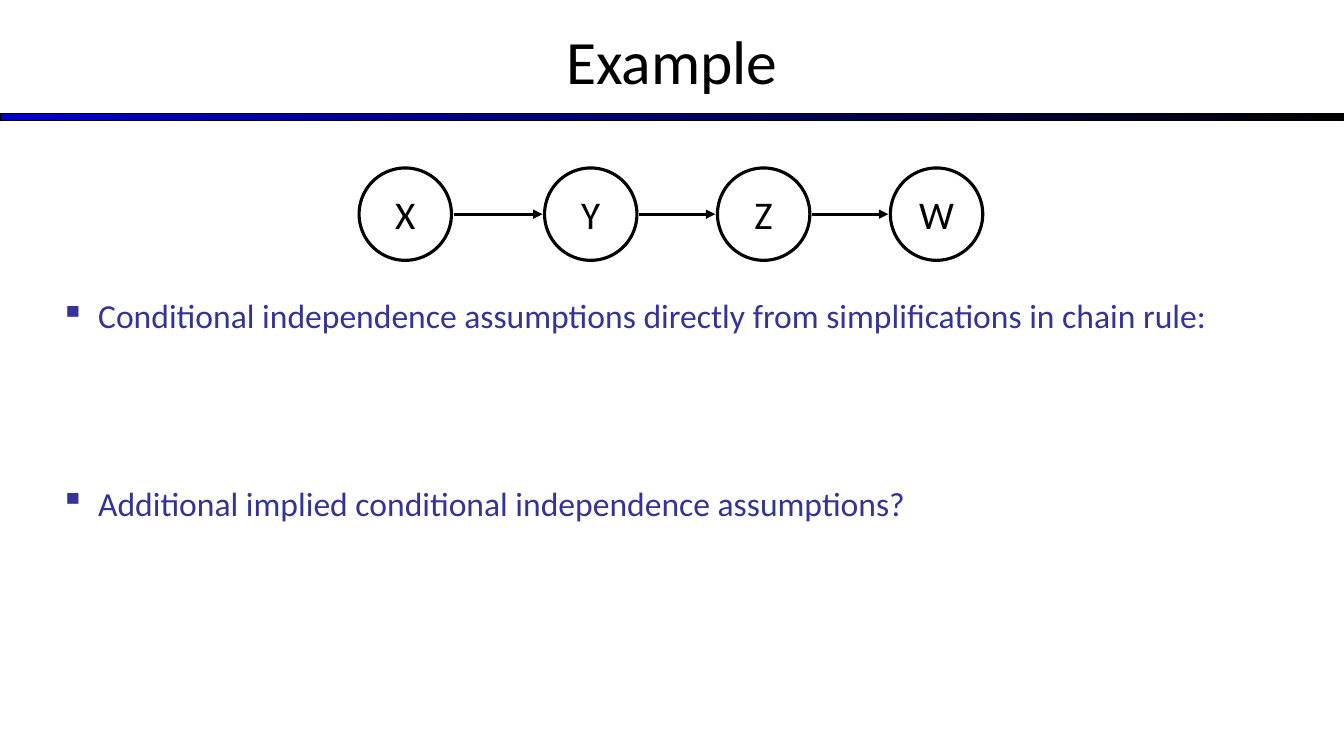
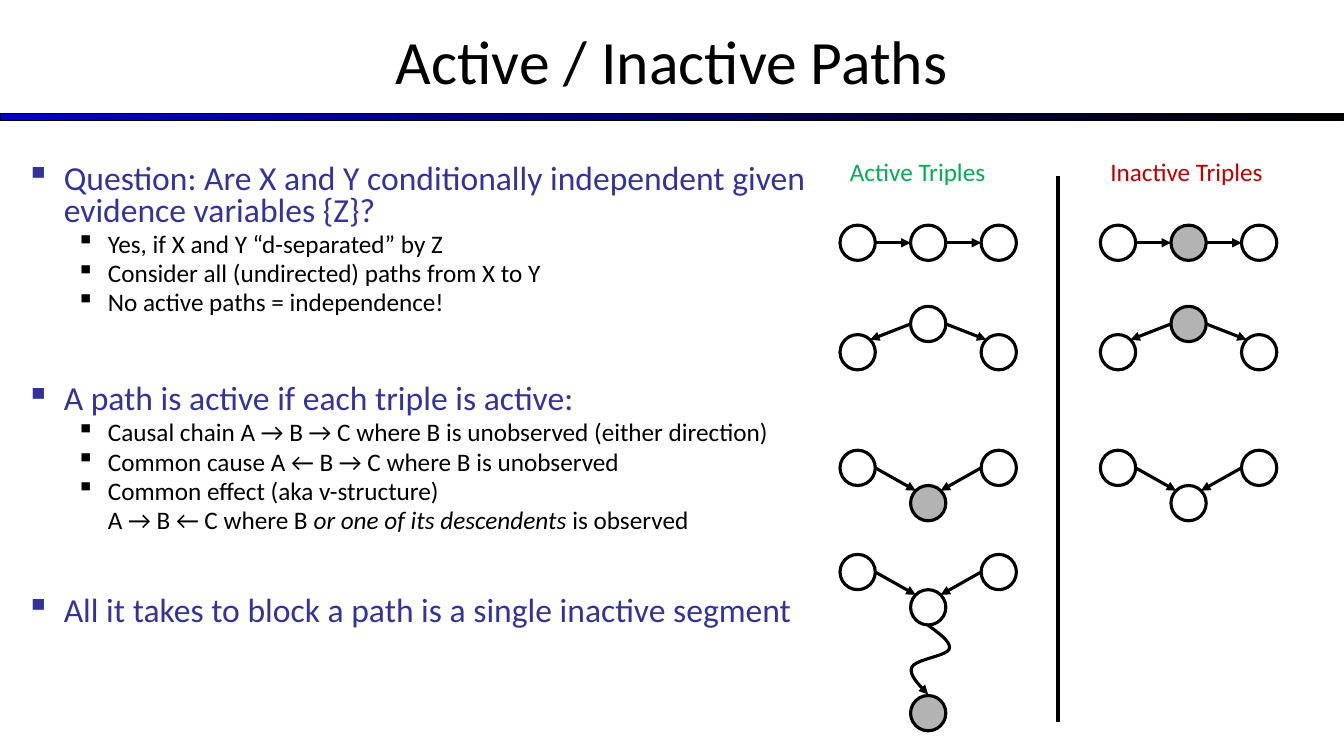
"""Builds two slides on conditional independence and active paths in Bayes nets."""
from lxml.etree import SubElement
from pptx import Presentation
from pptx.dml.color import RGBColor
from pptx.enum.shapes import MSO_CONNECTOR, MSO_SHAPE
from pptx.enum.text import MSO_ANCHOR, PP_ALIGN
from pptx.oxml.ns import qn
from pptx.util import Pt

FONT = "Calibri"
BLACK = RGBColor(0x00, 0x00, 0x00)
WHITE = RGBColor(0xFF, 0xFF, 0xFF)
OBSERVED = RGBColor(0xB3, 0xB3, 0xB3)
BLUE = RGBColor(0x00, 0x00, 0xCC)
INDIGO = RGBColor(0x33, 0x33, 0x99)
GREEN = RGBColor(0x00, 0xB0, 0x50)
RED = RGBColor(0xC0, 0x00, 0x00)


def style_line(shape, width, arrow=False):
    shape.line.color.rgb = BLACK
    shape.line.width = Pt(width)
    if arrow:
        SubElement(shape.line._get_or_add_ln(), qn("a:tailEnd"), type="triangle")
    SubElement(shape._element.spPr, qn("a:effectLst"))


def style_text(paragraph, size, color):
    for run in paragraph.runs:
        run.font.name = FONT
        run.font.size = Pt(size)
        run.font.color.rgb = color


deck = Presentation()
deck.slide_width, deck.slide_height = Pt(960), Pt(540)
blank = deck.slide_layouts[6]
example = deck.slides.add_slide(blank)
paths = deck.slides.add_slide(blank)

for slide, heading in ((example, "Example"), (paths, "Active / Inactive Paths")):
    rule = slide.shapes.add_shape(MSO_SHAPE.RECTANGLE, 0, Pt(81), Pt(960), Pt(5))
    rule.fill.gradient()
    rule.fill.gradient_angle = 0
    for stop, color in zip(rule.fill.gradient_stops, (BLUE, BLACK)):
        stop.color.rgb = color
    style_line(rule, 0.75)
    title = slide.shapes.add_textbox(0, Pt(-2), Pt(960), Pt(90)).text_frame
    title.word_wrap = True
    title.vertical_anchor = MSO_ANCHOR.MIDDLE
    title.text = heading
    title.paragraphs[0].alignment = PP_ALIGN.CENTER
    style_text(title.paragraphs[0], 44, BLACK)

# level, space before, text
example_points = [
    (0, 0, "Conditional independence assumptions directly from simplifications in chain rule:"),
    (0, 105, "Additional implied conditional independence assumptions?"),
]
paths_points = [
    (0, 0, "Question: Are X and Y conditionally independent given evidence variables {Z}?"),
    (1, 3.6, "Yes, if X and Y “d-separated” by Z"),
    (1, 3.6, "Consider all (undirected) paths from X to Y"),
    (1, 3.6, "No active paths = independence!"),
    (0, 49, "A path is active if each triple is active:"),
    (1, 3.6, "Causal chain A → B → C where B is unobserved (either direction)"),
    (1, 3.6, "Common cause A ← B → C where B is unobserved"),
    (1, 3.6, "Common effect (aka v-structure)"),
    (2, 3.6, "A → B ← C where B |or one of its descendents| is observed"),
    (0, 44.5, "All it takes to block a path is a single inactive segment"),
]
levels = [(27, -27, 24, INDIGO), (58.5, -22.5, 18, BLACK), (58.5, 0, 18, BLACK)]
for slide, box, spacing, points in (
    (example, (36, 207.4, 864, 266), 1.0, example_points),
    (paths, (11.5, 113.8, 595, 396), 0.8, paths_points),
):
    body = slide.shapes.add_textbox(*map(Pt, box)).text_frame
    body.word_wrap = True
    for index, (level, gap, text) in enumerate(points):
        point = body.add_paragraph() if index else body.paragraphs[0]
        margin, indent, size, color = levels[level]
        for part, piece in enumerate(text.split("|")):
            run = point.add_run()
            run.text = piece
            run.font.italic = part == 1
        style_text(point, size, color)
        point.line_spacing = spacing
        point.space_before = Pt(gap)
        properties = point._p.get_or_add_pPr()
        properties.set("marL", str(Pt(margin)))
        properties.set("indent", str(Pt(indent)))
        if indent:
            SubElement(properties, qn("a:buChar"), char="▪")

nodes, lines = [], []

chain_lefts = [256.5, 389, 512.5, 636]
for left, name in zip(chain_lefts, "XYZW"):
    nodes.append((example, left, 120, 66, WHITE, name))
for left, following in zip(chain_lefts, chain_lefts[1:]):
    lines.append((example, left + 67.5, 153, following - 1.5, 153, 2.25, True))

SIZE, PITCH, CORNER = 25.2, 50.4, 3.7
HALF = SIZE / 2
ACTIVE, INACTIVE = 600, 786
triples = [
    ("chain", ACTIVE, 160.8, 160.8, WHITE),
    ("chain", INACTIVE, 160.8, 160.8, OBSERVED),
    ("cause", ACTIVE, 239, 218.8, WHITE),
    ("cause", INACTIVE, 239, 218.8, OBSERVED),
    ("effect", ACTIVE, 321.6, 346.8, OBSERVED),
    ("effect", INACTIVE, 321.6, 346.8, WHITE),
    ("effect", ACTIVE, 396, 421.2, WHITE),
]
for kind, left, side_top, middle_top, fill in triples:
    middle, right = left + PITCH, left + 2 * PITCH
    for x, y, shade in ((left, side_top, WHITE), (middle, middle_top, fill), (right, side_top, WHITE)):
        nodes.append((paths, x, y, SIZE, shade, ""))
    side_y, middle_y = side_top + HALF, middle_top + HALF
    if kind == "chain":
        ends = [(left + SIZE, side_y, middle, middle_y), (middle + SIZE, middle_y, right, side_y)]
    elif kind == "cause":
        target_y = side_top + CORNER
        ends = [(middle, middle_y, left + SIZE - CORNER, target_y),
                (middle + SIZE, middle_y, right + CORNER, target_y)]
    else:
        target_y = middle_top + CORNER
        ends = [(left + SIZE, side_y, middle + CORNER, target_y),
                (right, side_y, middle + SIZE - CORNER, target_y)]
    lines += [(paths, *end, 2.25, True) for end in ends]
nodes.append((paths, ACTIVE + PITCH, 496.8, SIZE, OBSERVED, ""))
lines.append((paths, 756, 126, 756, 516, 3, False))

for slide, left, top, size, fill, name in nodes:
    node = slide.shapes.add_shape(MSO_SHAPE.OVAL, Pt(left), Pt(top), Pt(size), Pt(size))
    node.fill.solid()
    node.fill.fore_color.rgb = fill
    style_line(node, 2.25)
    if name:
        node.text_frame.text = name
        node.text_frame.word_wrap = False
        node.text_frame.vertical_anchor = MSO_ANCHOR.MIDDLE
        node.text_frame.paragraphs[0].alignment = PP_ALIGN.CENTER
        style_text(node.text_frame.paragraphs[0], 28, BLACK)

for slide, x1, y1, x2, y2, width, arrow in lines:
    link = slide.shapes.add_connector(MSO_CONNECTOR.STRAIGHT, Pt(x1), Pt(y1), Pt(x2), Pt(y2))
    style_line(link, width, arrow)

bends = [
    ((662.7, 446.4), (671, 452.6), (679.7, 458.6), (678, 463.7)),
    ((678, 463.7), (676, 468.7), (653.8, 470.9), (651.3, 476.6)),
    ((651.3, 476.6), (648.9, 481.7), (656, 488.9), (663, 496.1)),
]
STEPS = 10
curve_points = []
for a, b, c, d in bends:
    for step in range(1, STEPS + 1):
        t = step / STEPS
        weights = ((1 - t) ** 3, 3 * t * (1 - t) ** 2, 3 * t ** 2 * (1 - t), t ** 3)
        curve_points.append(tuple(
            Pt(sum(w * p[axis] for w, p in zip(weights, (a, b, c, d)))) for axis in (0, 1)))
outline = paths.shapes.build_freeform(Pt(bends[0][0][0]), Pt(bends[0][0][1]))
outline.add_line_segments(curve_points, close=False)
descent = outline.convert_to_shape()
descent.fill.background()
style_line(descent, 2.25, True)

for left, width, text, color in (
    (ACTIVE, 126, "Active Triples", GREEN),
    (INACTIVE, 138, "Inactive Triples", RED),
):
    caption = paths.shapes.add_textbox(Pt(left), Pt(108), Pt(width), Pt(29)).text_frame
    caption.word_wrap = True
    caption.text = text
    style_text(caption.paragraphs[0], 18, color)

deck.save("out.pptx")
